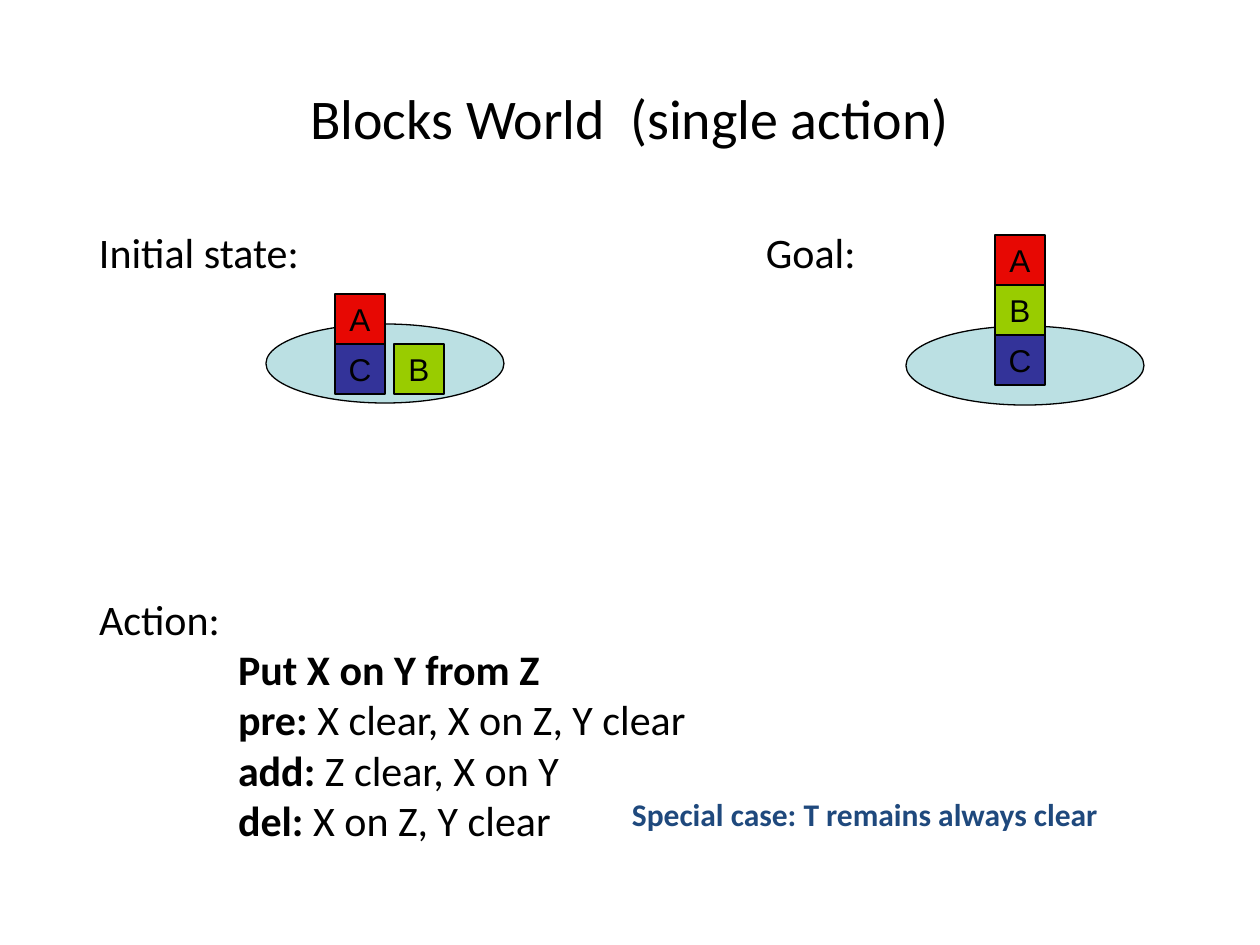
from dataclasses import dataclass

from pptx import Presentation
from pptx import util as u
from pptx.dml.color import RGBColor
from pptx.enum import shapes, text

PIXEL = 914400 / 126
BLOCK = 50


@dataclass(frozen=True)
class Theme:
    """Colours, fonts and type sizes of the slide."""
    ink: str = "000000"
    accent: str = "1F497D"
    table: str = "BBE0E3"
    body_font: str = "Calibri"
    block_font: str = "Arial"
    title_size: int = 32
    body_size: int = 24
    small_size: int = 18
    outline: float = 0.75


BLOCK_COLOURS = {"A": "E70803", "B": "99CC00", "C": "333399"}


def px(*lengths):
    """Turn pixels into EMU."""
    return [u.Emu(round(length * PIXEL)) for length in lengths]


class Painter:
    """Draws styled elements on the current slide."""

    def __init__(self, page, theme):
        self.page = page
        self.theme = theme

    def style(self, para, size, font=None, colour=None, bold=None):
        """Set the font of a paragraph."""
        para.font.name = font or self.theme.body_font
        para.font.size = u.Pt(size)
        para.font.bold = bold
        para.font.color.rgb = RGBColor.from_string(colour or self.theme.ink)

    def title(self, wording, bounds):
        """Fill and place the title placeholder."""
        box = self.page.shapes.title
        box.left, box.top, box.width, box.height = px(*bounds)
        box.text_frame.text = wording
        box.text_frame.vertical_anchor = text.MSO_ANCHOR.MIDDLE
        para = box.text_frame.paragraphs[0]
        para.alignment = text.PP_ALIGN.CENTER
        self.style(para, self.theme.title_size)

    def lines(self, rows, bounds, size, colour=None):
        """Add a text box; each row is (bold part, plain part, indent)."""
        frame = self.page.shapes.add_textbox(*px(*bounds)).text_frame
        frame.word_wrap = True
        frame.margin_left = frame.margin_right = 0
        frame.margin_top = frame.margin_bottom = 0
        for index, (strong, plain, indent) in enumerate(rows):
            para = frame.add_paragraph() if index else frame.paragraphs[0]
            self.style(para, size, colour=colour)
            para._p.get_or_add_pPr().set("marL", str(px(indent)[0]))
            for wording, bold in ((strong, True), (plain, False)):
                if wording:
                    span = para.add_run()
                    span.text = wording
                    span.font.bold = bold

    def outlined(self, group, kind, bounds, fill):
        """Add a filled shape with a thin dark outline to a group."""
        shape = group.shapes.add_shape(kind, *px(*bounds))
        shape.shadow.inherit = False
        shape.fill.solid()
        shape.fill.fore_color.rgb = RGBColor.from_string(fill)
        shape.line.color.rgb = RGBColor.from_string(self.theme.ink)
        shape.line.width = u.Pt(self.theme.outline)
        return shape

    def block(self, group, letter, left, top):
        """Add a lettered block."""
        box = self.outlined(group, shapes.MSO_SHAPE.RECTANGLE,
                            (left, top, BLOCK, BLOCK), BLOCK_COLOURS[letter])
        frame = box.text_frame
        frame.word_wrap = False
        frame.vertical_anchor = text.MSO_ANCHOR.MIDDLE
        frame.text = letter
        para = frame.paragraphs[0]
        para.alignment = text.PP_ALIGN.CENTER
        self.style(para, self.theme.small_size, font=self.theme.block_font)

    def state(self, table_left, table_top, floor, stacks):
        """Add a table with stacks of blocks, listed from the bottom up."""
        group = self.page.shapes.add_group_shape()
        self.outlined(group, shapes.MSO_SHAPE.OVAL,
                      (table_left, table_top, 238, 79), self.theme.table)
        for left, letters in stacks.items():
            for level, letter in enumerate(letters, start=1):
                self.block(group, letter, left, floor - level * BLOCK)


def main():
    """Build and save the slide."""
    deck = Presentation()
    deck.slide_width, deck.slide_height = px(1260, 945)
    theme = Theme()
    page = deck.slides.add_slide(deck.slide_layouts[5])
    painter = Painter(page, theme)

    painter.title("Blocks World  (single action)", (63, 38, 1134, 158))
    painter.lines([("", "Initial state:", 0)], (99, 227, 300, 52), theme.body_size)
    painter.lines([("", "Goal:", 0)], (766, 227, 140, 52), theme.body_size)
    action = [
        ("", "Action:", 0),
        ("Put X on Y from Z", "", 139),
        ("pre:", " X clear, X on Z, Y clear", 139),
        ("add:", " Z clear, X on Y", 139),
        ("del:", " X on Z, Y clear", 139),
    ]
    painter.lines(action, (99, 593, 1000, 256), theme.body_size)
    painter.state(266, 324, 394, {394: "B", 335: "CA"})
    painter.state(906, 326, 385, {995: "CBA"})
    painter.lines([("Special case: T remains always clear", "", 0)],
                  (632, 795, 510, 38), theme.small_size, theme.accent)
    deck.save("out.pptx")


main()
